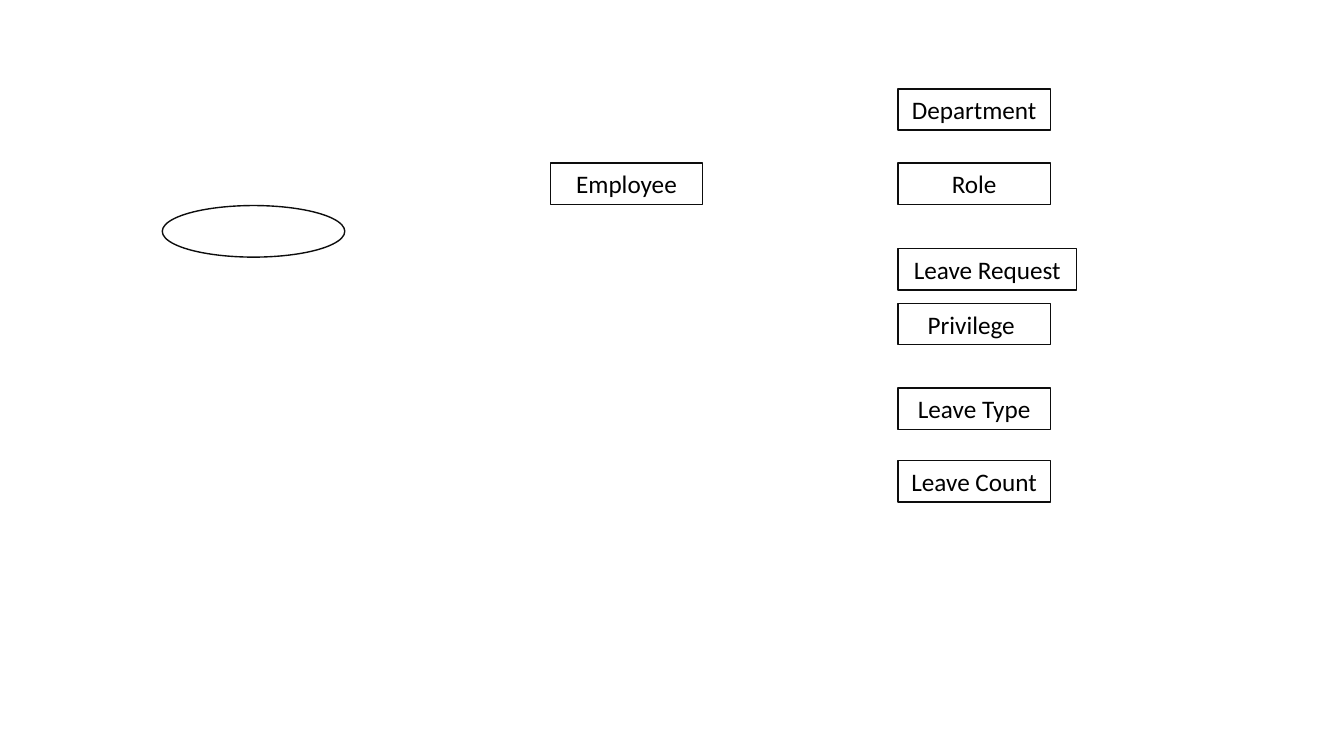
import pptx
import pptx.dml.color
import pptx.enum.shapes
import pptx.enum.text
import pptx.util

Cm = pptx.util.Cm
SHAPES = pptx.enum.shapes.MSO_SHAPE

WHITE = pptx.dml.color.RGBColor(0xFF, 0xFF, 0xFF)
BLACK = pptx.dml.color.RGBColor(0x00, 0x00, 0x00)
OUTLINE = pptx.dml.color.RGBColor(0x0D, 0x0D, 0x0D)

ENTITY_WIDTH = 3.84
ENTITY_HEIGHT = 1.04
EMPLOYEE_LEFT = 13.87
RELATED_LEFT = 22.63
ROLE_TOP = 4.11


class EntityDiagram:
    """Holds the style and the slide being drawn; lengths are in centimetres."""

    font_name = "Calibri"
    font_size = pptx.util.Pt(18)
    line_width = pptx.util.Pt(1)

    def __init__(self, slide):
        self.slide = slide

    def outlined(self, kind, left, top, width, height):
        shape = self.slide.shapes.add_shape(
            kind, Cm(left), Cm(top), Cm(width), Cm(height))
        shape.shadow.inherit = False
        shape.fill.solid()
        shape.fill.fore_color.rgb = WHITE
        shape.line.color.rgb = OUTLINE
        shape.line.width = self.line_width
        return shape

    def attribute(self, left, top, width, height):
        return self.outlined(SHAPES.OVAL, left, top, width, height)

    def entity(self, name, left, top, width=ENTITY_WIDTH):
        box = self.outlined(SHAPES.RECTANGLE, left, top, width, ENTITY_HEIGHT)
        frame = box.text_frame
        frame.text = name
        frame.word_wrap = True
        frame.vertical_anchor = pptx.enum.text.MSO_ANCHOR.MIDDLE
        para = frame.paragraphs[0]
        para.alignment = pptx.enum.text.PP_ALIGN.CENTER
        for span in para.runs:
            span.font.name = self.font_name
            span.font.size = self.font_size
            span.font.color.rgb = BLACK
        return box


deck = pptx.Presentation()
deck.slide_width = Cm(33.87)
deck.slide_height = Cm(19.05)
page = deck.slides.add_slide(deck.slide_layouts[6])
diagram = EntityDiagram(page)

# Empty attribute and the central entity, level with Role
diagram.attribute(4.09, 5.18, 4.6, 1.3)
diagram.entity("Employee", EMPLOYEE_LEFT, ROLE_TOP)

# Column of related entities
related = [
    ("Department", 2.24, ENTITY_WIDTH),
    ("Role", ROLE_TOP, ENTITY_WIDTH),
    ("Leave Request", 6.27, 4.5),
    ("Privilege ", 7.65, ENTITY_WIDTH),
    ("Leave Type", 9.78, ENTITY_WIDTH),
    ("Leave Count", 11.61, ENTITY_WIDTH),
]
for name, top, width in related:
    diagram.entity(name, RELATED_LEFT, top, width)

deck.save("out.pptx")
